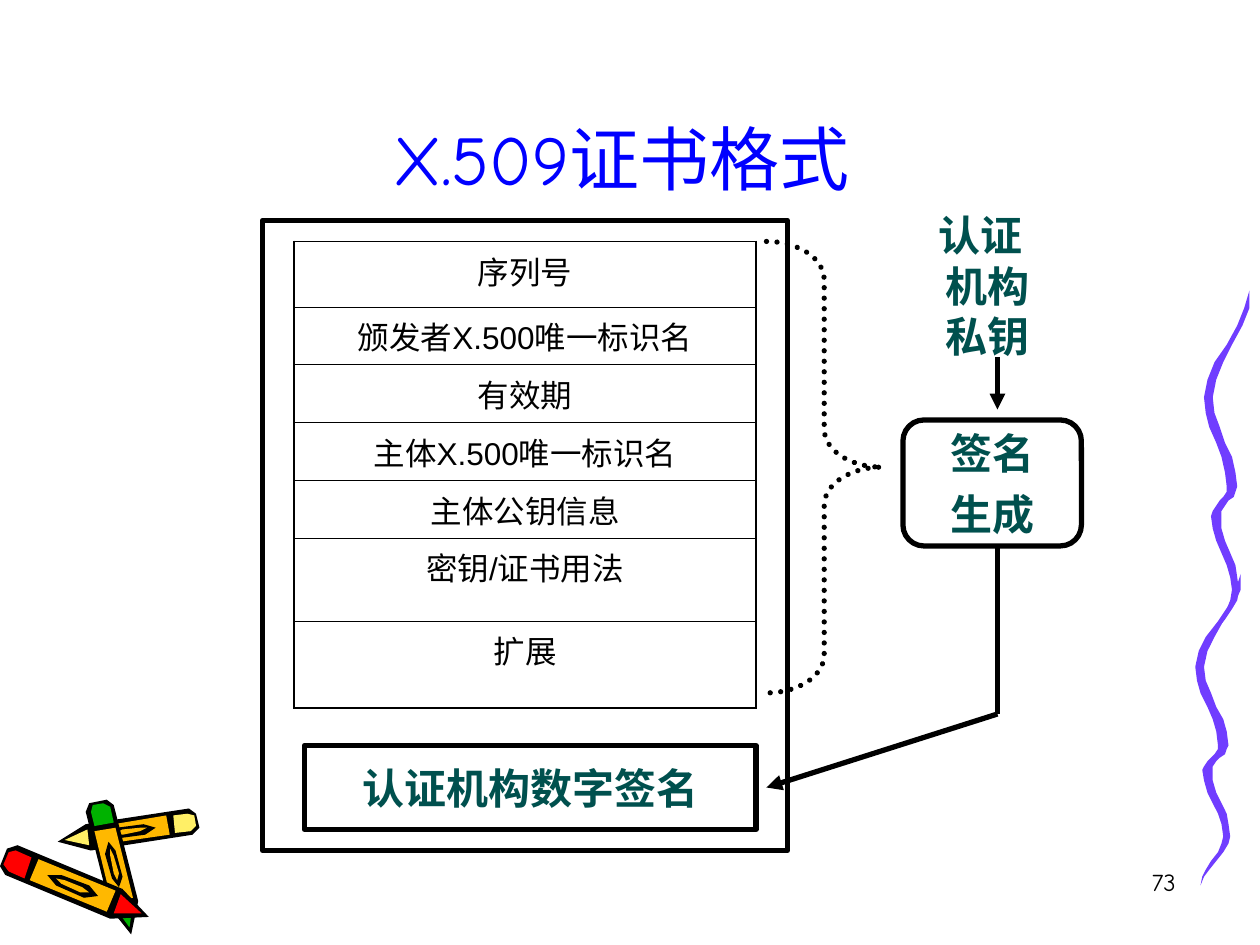
"""Builds the slide on the X.509 certificate format."""
from dataclasses import dataclass
from itertools import pairwise
from math import cos, hypot, pi, sin, sqrt
from typing import Any, NamedTuple, Optional

from lxml.etree import SubElement as Sub
from pptx import Presentation
from pptx.dml.color import RGBColor as Color
from pptx.enum.dml import MSO_LINE as Dash
from pptx.enum.shapes import MSO_CONNECTOR as Link, MSO_SHAPE as Kind
from pptx.enum.text import MSO_ANCHOR as Anchor, MSO_AUTO_SIZE as Fit, PP_ALIGN as Align
from pptx.oxml.ns import qn
from pptx.util import Pt


@dataclass(frozen=True)
class Theme:
    """Colours, fonts, type sizes and line widths."""
    ink: str = "000000"
    blue: str = "0000FF"
    teal: str = "00504E"
    cream: str = "FFEF66"
    red: str = "FF0000"
    gold: str = "FFB800"
    green: str = "00B200"
    violet: str = "703DFF"
    hand: str = "Comic Neue"
    sans: str = "Arial"
    head: float = 40
    mark: float = 24
    cell: float = 18
    foot: float = 14
    bold: float = 3
    edge: float = 1.08
    thin: float = 0.45


T = Theme()


class Box(NamedTuple):
    """A place and size in points."""
    x: float
    y: float
    w: float
    h: float


class Style(NamedTuple):
    """The look of a run of text."""
    size: float
    ink: str
    face: str = T.hand
    bold: bool = False


class Frame(NamedTuple):
    """An outlined shape with its text."""
    kind: Any
    box: Box
    lines: tuple = ()
    hang: float = 0


class Pencil(NamedTuple):
    """A pencil from its blunt end to its tip."""
    end: tuple
    tip: tuple
    wide: float
    ink: str


class Part(NamedTuple):
    """A symmetric pencil part: (share of length, half width) along its upper side."""
    ink: Optional[str]
    side: tuple


MARK = Style(T.mark, T.teal, bold=True)
ROWS = (("序列号", 37.5), ("颁发者X.500唯一标识名", 33), ("有效期", 33),
        ("主体X.500唯一标识名", 33), ("主体公钥信息", 33),
        ("密钥/证书用法", 47.5), ("扩展", 49.7))
FRAMES = (Frame(Kind.RECTANGLE, Box(150, 126, 300, 360)),
          Frame(Kind.RECTANGLE, Box(174, 426, 258, 48), ("认证机构数字签名",), 18),
          Frame(Kind.ROUNDED_RECTANGLE, Box(516, 240, 102, 72), ("签名", "生成")))
LINKS = ((570, 204, 570, 234, True), (570, 312, 570, 408, False), (570, 408, 438, 450, True))
PENCILS = (Pencil((113, 469), (33, 481), 15, T.cream),
           Pencil((56, 458), (75, 534), 16, T.green),
           Pencil((2, 490), (85, 524), 18, T.red))
SHELL = Part(T.ink, ((0, 0.3), (0.05, 0.5), (0.78, 0.5), (1, 0)))
CAP = Part(None, ((0.02, 0.2), (0.06, 0.35), (0.17, 0.35)))
BODY = Part(T.gold, ((0.21, 0.36), (0.74, 0.36)))
POINT = Part(None, ((0.78, 0.32), (0.95, 0)))
BADGE = Part(T.ink, ((0.3, 0), (0.38, 0.2), (0.57, 0.2), (0.65, 0)))
HOLE = Part(T.gold, ((0.36, 0), (0.41, 0.08), (0.54, 0.08), (0.59, 0)))
PARTS = (SHELL, CAP, BODY, POINT, BADGE, HOLE)
RIBBONS = (Box(683, 328, 26, 178), Box(688, 166, 26, 204))
TURNS = ((0, 1), (0.3, 0.11), (0.55, 0.62), (0.63, 0.27), (0.84, 0.69), (1, 0.13))
STEPS = 6


def apply(item: Any, **form: Any) -> None:
    """Set each format value on the item."""
    for name, value in form.items():
        setattr(item, name, value)


def span(box: Box) -> list:
    """Turn a box into lengths."""
    return [Pt(n) for n in box]


def write(frame: Any, lines: tuple, style: Style, align: Any = Align.CENTER,
          left: float = 0, first: float = 0) -> None:
    """Write one paragraph for each line."""
    frame.text = "\n".join(lines)
    for i, para in enumerate(frame.paragraphs):
        props = para._p.get_or_add_pPr()
        props.set("marL", str(Pt(left)))
        props.set("indent", str(Pt(first)))
        apply(para, alignment=align, space_before=Pt(6 if i else 0))
        apply(para.runs[0].font, size=Pt(style.size), name=style.face, bold=style.bold)
        para.runs[0].font.color.rgb = Color.from_string(style.ink)


def pad(frame: Any, gap: float) -> None:
    """Set all four insets of a text frame."""
    apply(frame, **{f"margin_{side}": Pt(gap) for side in ("left", "top", "right", "bottom")})


def stroke(shape: Any) -> Any:
    """Give a shape the bold dark line and return its XML."""
    shape.line.color.rgb = Color.from_string(T.ink)
    shape.line.width = Pt(T.bold)
    return shape.element.spPr.find(qn("a:ln"))


def fill(shapes: Any, dots: list, ink: str) -> None:
    """Fill the outline through the given points."""
    pen = shapes.build_freeform(*dots[0], scale=float(Pt(1)))
    pen.add_line_segments(dots[1:], close=True)
    shape = pen.convert_to_shape()
    shape.shadow.inherit = False
    shape.fill.solid()
    shape.fill.fore_color.rgb = Color.from_string(ink)
    shape.line.fill.background()


def sketch(shapes: Any, item: Pencil) -> None:
    """Draw a pencil by turning its parts onto its axis."""
    (x, y), (to_x, to_y) = item.end, item.tip
    run, drop = to_x - x, to_y - y
    scale = item.wide / hypot(run, drop)
    for part in PARTS:
        under = [(along, -off) for along, off in reversed(part.side)]
        dots = [(x + along * run - off * scale * drop, y + along * drop + off * scale * run)
                for along, off in [*part.side, *under]]
        fill(shapes, dots, part.ink or item.ink)


def wave(shapes: Any, box: Box) -> None:
    """Draw a ribbon that swings between turns and thins at its ends."""
    left, right = [], []
    for (top, start), (base, stop) in pairwise(TURNS):
        for step in range(STEPS + 1):
            part = step / STEPS
            drop = top + (base - top) * part
            mid = start + (stop - start) * (1 - cos(pi * part)) / 2
            half = 0.11 * sqrt(abs(sin(pi * drop)))
            y = box.y + box.h * drop
            left.append((box.x + box.w * (mid - half), y))
            right.append((box.x + box.w * (mid + half), y))
    fill(shapes, left + right[::-1], T.violet)


def outline(shapes: Any, item: Frame) -> Any:
    """Add an unfilled shape with its text."""
    shape = shapes.add_shape(item.kind, *span(item.box))
    shape.shadow.inherit = False
    shape.fill.background()
    stroke(shape)
    if item.lines:
        pad(shape.text_frame, 0)
        apply(shape.text_frame, word_wrap=False, vertical_anchor=Anchor.MIDDLE)
        write(shape.text_frame, item.lines, MARK, left=item.hang, first=-item.hang)
    return shape


def join(shapes: Any, x: float, y: float, to_x: float, to_y: float, tip: bool) -> None:
    """Add a line, with an arrowhead if asked."""
    link = shapes.add_connector(Link.STRAIGHT, Pt(x), Pt(y), Pt(to_x), Pt(to_y))
    line = stroke(link)
    if tip:
        Sub(line, qn("a:tailEnd"), type="triangle")
    Sub(link.element.spPr, qn("a:effectLst"))


def note(shapes: Any, box: Box, text: str, style: Style, gap: float = 3.6, **form: Any) -> None:
    """Add a wrapped text box."""
    frame = shapes.add_textbox(*span(box)).text_frame
    frame.word_wrap = True
    pad(frame, gap)
    write(frame, (text,), style, **form)


def border(cell: Any, top: float, base: float) -> None:
    """Rule the four sides of a cell."""
    props = cell._tc.get_or_add_tcPr()
    for i, (side, wide) in enumerate(zip("LRTB", (T.edge, T.edge, top, base))):
        line = Sub(props, qn(f"a:ln{side}"), w=str(Pt(wide)))
        Sub(Sub(line, qn("a:solidFill")), qn("a:srgbClr"), val=T.ink)
        props.insert(i, line)


def grid(shapes: Any, box: Box) -> None:
    """Add the table of certificate fields."""
    table = shapes.add_table(len(ROWS), 1, *span(box)).table
    apply(table, first_row=False, horz_banding=False)
    for i, (text, high) in enumerate(ROWS):
        table.rows[i].height = Pt(high)
        cell = table.cell(i, 0)
        cell.fill.background()
        write(cell.text_frame, (text,), Style(T.cell, T.ink, T.sans))
        border(cell, T.thin if i else T.edge, T.edge if i == len(ROWS) - 1 else T.thin)


def main() -> None:
    """Build and save the slide."""
    deck = Presentation()
    apply(deck, slide_width=Pt(720), slide_height=Pt(540))
    shapes = deck.slides.add_slide(deck.slide_layouts[5]).shapes
    for draw, items in ((sketch, PENCILS), (wave, RIBBONS)):
        group = shapes.add_group_shape()
        for item in items:
            draw(group.shapes, item)
    title = shapes.title
    apply(title, **dict(zip(("left", "top", "width", "height"), span(Box(31, 60.5, 648, 57)))))
    apply(title.text_frame, auto_size=Fit.NONE, vertical_anchor=Anchor.BOTTOM)
    write(title.text_frame, ("X.509证书格式",), Style(T.head, T.blue))
    note(shapes, Box(529, 492, 146.5, 36), "73", Style(T.foot, T.ink), align=Align.RIGHT)
    for item in FRAMES:
        outline(shapes, item)
    grid(shapes, Box(168, 138, 264, 250))
    brace = outline(shapes, Frame(Kind.RIGHT_BRACE, Box(438, 138, 66, 258)))
    brace.adjustments[0] = 0.33
    brace.line.dash_style = Dash.ROUND_DOT
    stroke(brace).set("cap", "rnd")
    note(shapes, Box(522, 120, 66.5, 144), "认证机构私钥", MARK, gap=0, left=18, first=-8)
    for link in LINKS:
        join(shapes, *link)
    deck.save("out.pptx")


if __name__ == "__main__":
    main()
